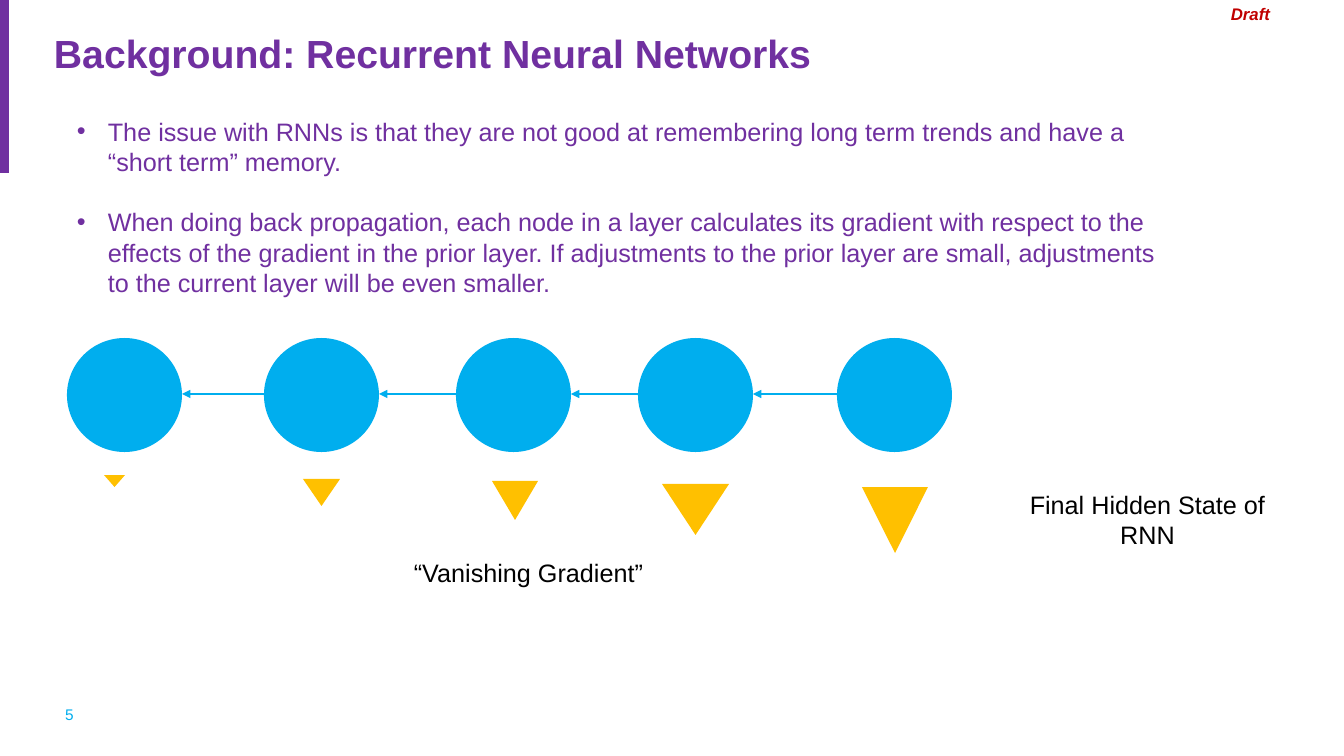
from pptx import Presentation
from pptx.dml.color import RGBColor
from pptx.enum.shapes import MSO_CONNECTOR, MSO_SHAPE
from pptx.enum.text import PP_ALIGN
from pptx.oxml.ns import qn
from pptx.util import Pt
from lxml import etree

RECT = MSO_SHAPE.RECTANGLE
OVAL = MSO_SHAPE.OVAL
WEDGE = MSO_SHAPE.ISOSCELES_TRIANGLE
STRAIGHT = MSO_CONNECTOR.STRAIGHT
LEFT, CENTER = PP_ALIGN.LEFT, PP_ALIGN.CENTER

THEME = {
    "font": "Arial",
    "purple": RGBColor(0x70, 0x30, 0xA0),
    "blue": RGBColor(0x00, 0xAE, 0xEE),
    "gold": RGBColor(0xFF, 0xC0, 0x00),
    "red": RGBColor(0xC0, 0x00, 0x00),
    "black": RGBColor(0, 0, 0),
    "title": Pt(28), "body": Pt(18), "tag": Pt(12), "page": Pt(11),
    "line": Pt(0.75), "gap": Pt(21.6),
}


def px(n):
    return round(n * 914400 / 100.8)


def add_solid(kind, x, y, w, h, color):
    shape = slide.shapes.add_shape(kind, px(x), px(y), px(w), px(h))
    shape.shadow.inherit = False
    shape.fill.solid()
    shape.fill.fore_color.rgb = THEME[color]
    shape.line.fill.background()
    return shape


deck = Presentation()
deck.slide_width, deck.slide_height = px(1344), px(756)
slide = deck.slides.add_slide(deck.slide_layouts[6])

add_solid(RECT, 0, 0, 9, 173, "purple")

POINTS = [
    "The issue with RNNs is that they are not good at remembering long term trends and have a “short term” memory.",
    "When doing back propagation, each node in a layer calculates its gradient with respect to the effects of the gradient in the prior layer. If adjustments to the prior layer are small, adjustments to the current layer will be even smaller.",
]
TEXTS = [
    ("page", (65, 705, 59, 19), ["5"], "blue", LEFT, False),
    ("title", (54, 38, 1218, 65), ["Background: Recurrent Neural Networks"], "purple", LEFT, False),
    ("tag", (1221, -1, 60, 30), ["Draft"], "red", LEFT, False),
    ("body", (67, 111, 1121, 224), POINTS, "purple", LEFT, True),
    ("body", (404, 552, 267, 40), ["“Vanishing Gradient”"], "black", LEFT, False),
    ("body", (1014, 484, 267, 72), ["Final Hidden State of RNN"], "black", CENTER, False),
]
for role, place, lines, color, align, listed in TEXTS:
    box = slide.shapes.add_textbox(*map(px, place))
    frame = box.text_frame
    frame.word_wrap = True
    if role in ("page", "title"):
        frame.margin_left = frame.margin_right = 0
        frame.margin_top = frame.margin_bottom = 0
    frame.text = "\n".join(lines)
    for i, para in enumerate(frame.paragraphs):
        para.alignment = align
        if role == "title":
            para.line_spacing = 0.8
        if i:
            para.space_before = THEME["gap"]
        if listed:
            props = para._p.get_or_add_pPr()
            props.set("marL", str(px(31)))
            props.set("indent", str(px(-31)))
            tint = etree.SubElement(props, qn("a:buClr"))
            etree.SubElement(tint, qn("a:srgbClr"), val=str(THEME[color]))
            etree.SubElement(props, qn("a:buFont"), typeface=THEME["font"])
            etree.SubElement(props, qn("a:buChar"), char="•")
        for run in para.runs:
            run.font.name = THEME["font"]
            run.font.size = THEME[role]
            run.font.color.rgb = THEME[color]
            run.font.bold = role in ("title", "tag")
            run.font.italic = role == "tag"

NODE_W, NODE_H, NODE_Y, LINK_Y = 115, 114, 338, 394
NODES = [67, 264, 456, 638, 837]
for x in NODES:
    add_solid(OVAL, x, NODE_Y, NODE_W, NODE_H, "blue")

for prior, node in zip(NODES, NODES[1:]):
    link = slide.shapes.add_connector(
        STRAIGHT, px(node), px(LINK_Y), px(prior + NODE_W), px(LINK_Y))
    link.line.color.rgb = THEME["blue"]
    link.line.width = THEME["line"]
    etree.SubElement(link.line._get_or_add_ln(), qn("a:tailEnd"), type="triangle")
    etree.SubElement(link._element.spPr, qn("a:effectLst"))

GRADIENTS = [
    (104, 475, 21, 12),
    (303, 479, 37, 27),
    (492, 481, 46, 39),
    (662, 484, 67, 51),
    (862, 487, 66, 66),
]
for place in GRADIENTS:
    add_solid(WEDGE, *place, "gold").rotation = 180

deck.save("out.pptx")
